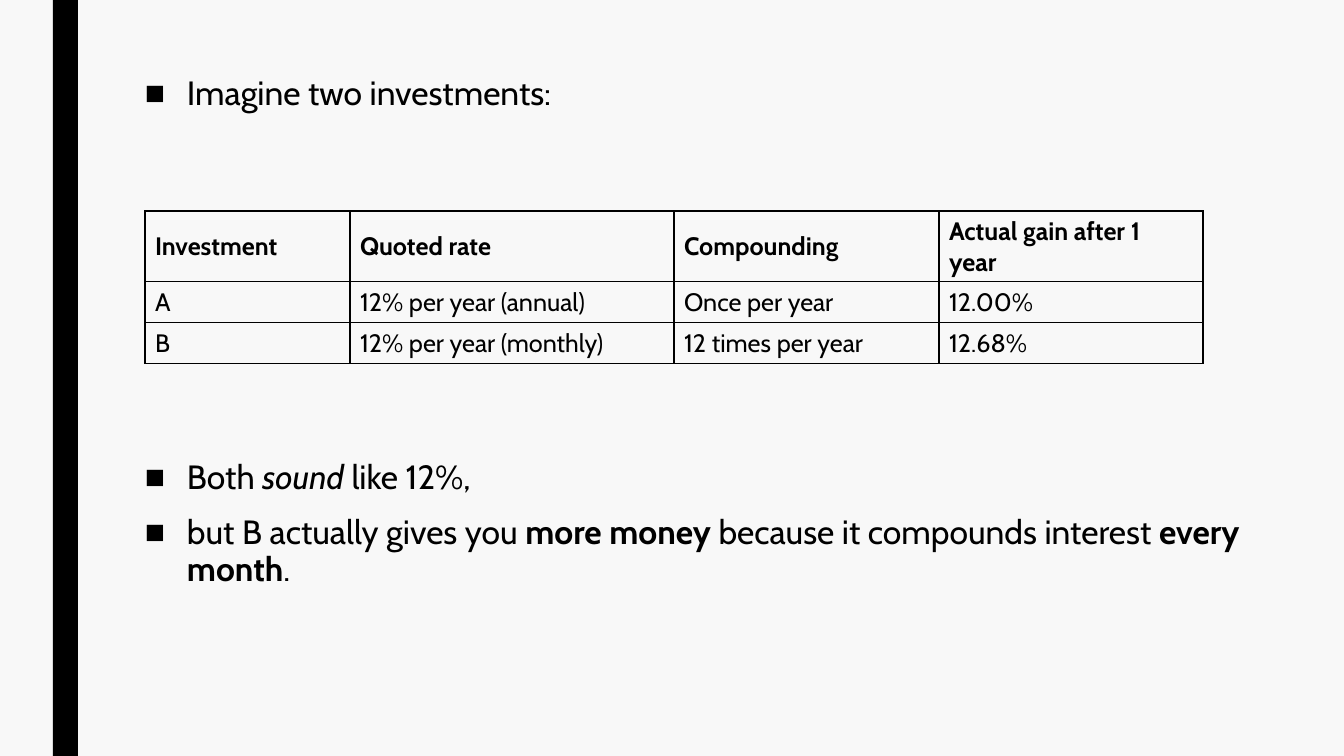
from lxml.etree import SubElement as Sub
from pptx import Presentation
from pptx.dml.color import RGBColor as Rgb
from pptx.enum.shapes import MSO_SHAPE as Kind
from pptx.enum.text import MSO_ANCHOR as Anchor
from pptx.oxml.ns import qn
from pptx.util import Pt

HUES = {"page": "F8F8F8", "ink": "000000"}
SCALE = 914400 / 100.8


def px(n):
    return round(n * SCALE)


class Deck:
    font = "Cabin"

    def __init__(self, wide, high):
        self.prs = Presentation()
        self.prs.slide_width, self.prs.slide_height = px(wide), px(high)
        self.slide = self.prs.slides.add_slide(self.prs.slide_layouts[6])
        self.paint(self.slide.background.fill, "page")

    def paint(self, fill, hue):
        fill.solid()
        fill.fore_color.rgb = Rgb.from_string(HUES[hue])

    def style(self, para, size, bold=None):
        font = para.font
        font.name, font.size, font.bold = self.font, Pt(size), bold
        font.color.rgb = Rgb.from_string(HUES["ink"])

    def bar(self, *box):
        bar = self.slide.shapes.add_shape(Kind.RECTANGLE, *map(px, box))
        bar.shadow.inherit = False
        self.paint(bar.fill, "ink")
        bar.line.fill.background()

    def bullet(self, para):
        props = para._p.get_or_add_pPr()
        props.set("marL", str(px(42)))
        props.set("indent", str(px(-42)))
        Sub(props, qn("a:buFont"), typeface="Arial")
        Sub(props, qn("a:buChar"), char="■")

    def points(self, box, items):
        frame = self.slide.shapes.add_textbox(*map(px, box)).text_frame
        frame.word_wrap = True
        for i, runs in enumerate(items):
            para = frame.add_paragraph() if i else frame.paragraphs[0]
            para.line_spacing = 0.94
            para.space_before = Pt(10 if i else 0)
            para.space_after = Pt(2)
            self.bullet(para)
            self.style(para, 24)
            for text, mark in runs:
                run = para.add_run()
                run.text = text
                if mark:
                    setattr(run.font, mark, True)

    def edge(self, cell):
        props = cell._tc.get_or_add_tcPr()
        for side in "LRTB":
            line = Sub(props, qn(f"a:ln{side}"), w=str(Pt(1)))
            fill = Sub(line, qn("a:solidFill"))
            Sub(fill, qn("a:srgbClr"), val=HUES["ink"])

    def table(self, left, top, cols, high, rows):
        box = map(px, (left, top, sum(cols), high * len(rows)))
        grid = self.slide.shapes.add_table(len(rows), len(cols), *box).table
        grid.first_row = grid.horz_banding = False
        for col, wide in zip(grid.columns, cols):
            col.width = px(wide)
        for r, row in enumerate(rows):
            for c, text in enumerate(row):
                cell = grid.cell(r, c)
                cell.text = text
                cell.vertical_anchor = Anchor.MIDDLE
                self.edge(cell)
                cell.fill.background()
                self.style(cell.text_frame.paragraphs[0], 18, r == 0)


def main():
    deck = Deck(1344, 756)
    deck.bar(53, 0, 25, 756)
    deck.points((135, 70, 1142, 88), [[("Imagine two investments:", None)]])
    deck.table(145, 211, (205, 324, 265, 264), 41, [
        ("Investment", "Quoted rate", "Compounding", "Actual gain after 1 year"),
        ("A", "12% per year (annual)", "Once per year", "12.00%"),
        ("B", "12% per year (monthly)", "12 times per year", "12.68%"),
    ])
    deck.points((135, 454, 1167, 174), [
        [("Both ", None), ("sound", "italic"), (" like 12%,", None)],
        [("but B actually gives you ", None), ("more money", "bold"),
         (" because it compounds interest ", None),
         ("every month", "bold"), (".", None)],
    ])
    deck.prs.save("out.pptx")


if __name__ == "__main__":
    main()
